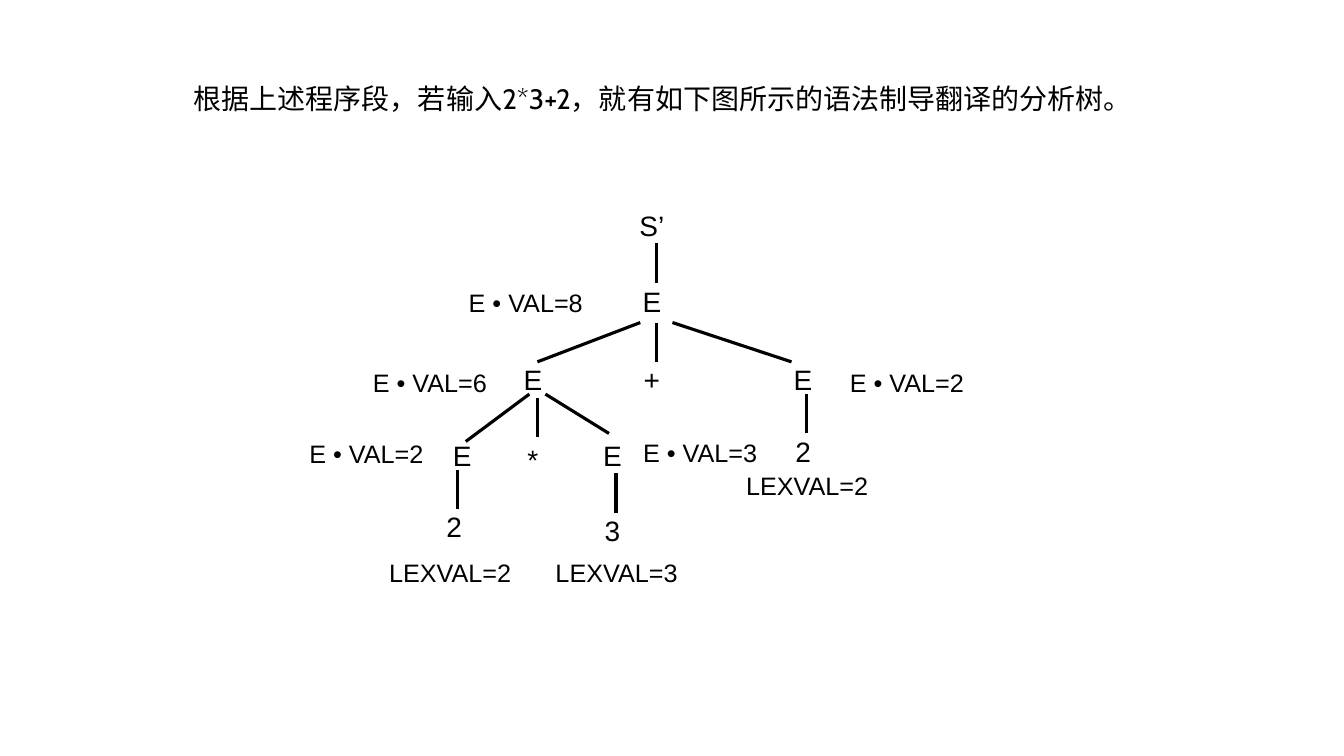
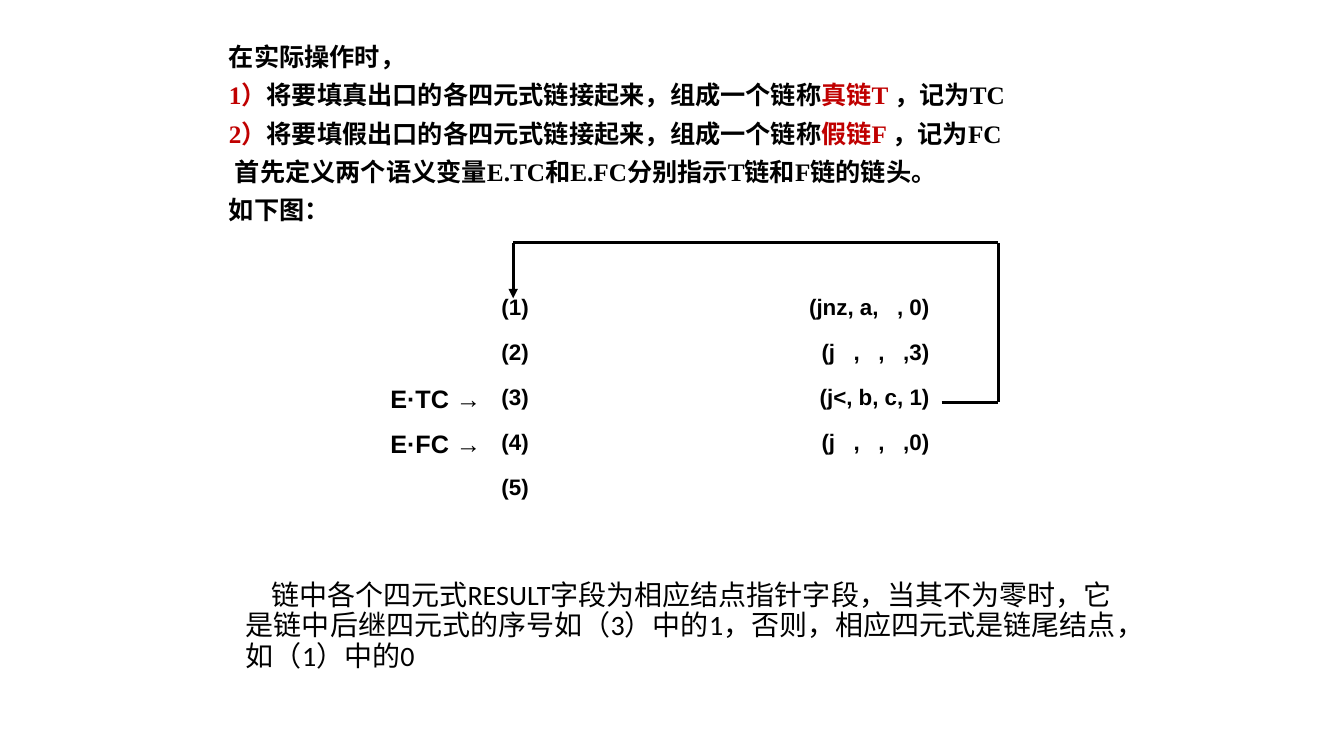
from dataclasses import dataclass

from lxml import etree
from pptx import Presentation
from pptx.dml.color import RGBColor
from pptx.enum.shapes import MSO_CONNECTOR
from pptx.enum.text import MSO_ANCHOR, MSO_AUTO_SIZE, PP_ALIGN
from pptx.oxml.ns import qn
from pptx.util import Inches, Pt

LEFT, CENTER, RIGHT = PP_ALIGN.LEFT, PP_ALIGN.CENTER, PP_ALIGN.RIGHT
STRAIGHT = MSO_CONNECTOR.STRAIGHT
TOP = MSO_ANCHOR.TOP
NO_AUTOFIT = MSO_AUTO_SIZE.NONE
TITLE_ONLY, TITLE_AND_CONTENT = 5, 1


@dataclass(frozen=True)
class Theme:
    ink: RGBColor = RGBColor(0, 0, 0)
    accent: RGBColor = RGBColor(0xC0, 0, 0)
    heading_font: str = "Cabin"
    list_font: str = "Times New Roman"
    diagram_font: str = "Arial"
    note_font: str = "Calibri"
    large: int = 20
    medium: int = 18
    small: int = 16
    line_width: float = 2.25


THEME = Theme()


def write(frame, *paragraphs, font=THEME.diagram_font, size=THEME.large,
          bold=False, align=LEFT, line_spacing=None, space_before=0,
          margin=0, indents=None):
    """Fill a text frame; each paragraph is a list of (text, color) runs."""
    frame.word_wrap = True
    frame.auto_size = NO_AUTOFIT
    frame.vertical_anchor = TOP
    for index, runs in enumerate(paragraphs):
        paragraph = frame.paragraphs[0] if index == 0 else frame.add_paragraph()
        if indents:
            properties = paragraph._p.get_or_add_pPr()
            properties.set("marL", str(Inches(margin)))
            properties.set("indent", str(Inches(indents[index])))
            etree.SubElement(properties, qn("a:buNone"))
        paragraph.alignment = align
        paragraph.line_spacing = line_spacing
        paragraph.space_before = Pt(space_before if index else 0)
        for text, color in runs:
            run = paragraph.add_run()
            run.text = text
            run.font.name = font
            run.font.size = Pt(size)
            run.font.bold = bold
            run.font.color.rgb = color


def draw_line(slide, start, end, arrow=False):
    connector = slide.shapes.add_connector(
        STRAIGHT, *(Inches(value) for value in (*start, *end)))
    connector.line.color.rgb = THEME.ink
    connector.line.width = Pt(THEME.line_width)
    if arrow:
        line = connector.line._get_or_add_ln()
        etree.SubElement(line, qn("a:tailEnd"), type="triangle")
    etree.SubElement(connector._element.spPr, qn("a:effectLst"))


presentation = Presentation()
presentation.slide_width = Inches(13.33)
presentation.slide_height = Inches(7.5)

# Slide 1: parse tree
slide = presentation.slides.add_slide(presentation.slide_layouts[TITLE_ONLY])
title = slide.shapes.title
title.left, title.top = Inches(1.82), Inches(0.76)
title.width, title.height = Inches(9.73), Inches(0.44)
write(title.text_frame,
      [("根据上述程序段，若输入2*3+2，就有如下图所示的语法制导翻译的分析树。", THEME.ink)],
      font=THEME.heading_font)

NODES = [
    ("S’", 6.19, 2.02),
    ("E", 6.19, 2.77),
    ("E", 5.01, 3.55), ("+", 6.19, 3.55), ("E", 7.69, 3.55),
    ("E", 4.31, 4.3), ("*", 5.01, 4.34), ("E", 5.8, 4.3), ("2", 7.69, 4.26),
    ("2", 4.23, 5.01), ("3", 5.8, 5.05),
]
VALUE_LABELS = [
    ("E • VAL=8", 4.23, 2.8),
    ("E • VAL=6", 3.28, 3.59), ("E • VAL=2", 8.01, 3.59),
    ("E • VAL=2", 2.65, 4.3), ("E • VAL=3", 5.96, 4.29),
]
LEXICAL_LABELS = [
    ("LEXVAL=2", 6.98, 4.62),
    ("LEXVAL=2", 3.44, 5.48), ("LEXVAL=3", 5.09, 5.48),
]
for items, width, height, size in (
        (NODES, 0.55, 0.43, THEME.large),
        (VALUE_LABELS, 1.97, 0.4, THEME.medium),
        (LEXICAL_LABELS, 2.05, 0.4, THEME.medium)):
    for text, left, top in items:
        box = slide.shapes.add_textbox(
            Inches(left), Inches(top), Inches(width), Inches(height))
        write(box.text_frame, [(text, THEME.ink)], size=size, align=CENTER)

BRANCHES = [
    ((6.51, 2.41), (6.51, 2.81)),
    ((6.35, 3.2), (5.33, 3.59)),
    ((6.51, 3.2), (6.51, 3.59)),
    ((6.67, 3.2), (7.85, 3.59)),
    ((5.25, 3.91), (4.62, 4.38)),
    ((5.33, 3.95), (5.33, 4.34)),
    ((5.41, 3.91), (6.04, 4.3)),
    ((8, 3.91), (8, 4.3)),
    ((4.54, 4.66), (4.54, 5.05)),
    ((6.11, 4.69), (6.11, 5.09)),
]
for start, end in BRANCHES:
    draw_line(slide, start, end)

# Slide 2: true and false chains
slide = presentation.slides.add_slide(presentation.slide_layouts[TITLE_AND_CONTENT])
unused_title = slide.shapes.title._element
unused_title.getparent().remove(unused_title)
body = slide.placeholders[1]
body.left, body.top = Inches(2.17), Inches(0.42)
body.width, body.height = Inches(9.25), Inches(1.92)
chains = [
    [(number, THEME.accent),
     (f"将要填{kind}出口的各四元式链接起来，组成一个链称", THEME.ink),
     (f"{kind}链{letter} ", THEME.accent),
     (f"，记为{letter}C", THEME.ink)]
    for number, kind, letter in (("1）", "真", "T"), ("2）", "假", "F"))
]
write(body.text_frame,
      [("在实际操作时，", THEME.ink)],
      *chains,
      [("首先定义两个语义变量E.TC和E.FC分别指示T链和F链的链头。", THEME.ink)],
      [("如下图：", THEME.ink)],
      font=THEME.list_font, size=THEME.medium, bold=True, line_spacing=0.8,
      space_before=10, margin=0.25, indents=[-0.25, -0.25, -0.25, -0.19, -0.25])

note = slide.shapes.add_textbox(Inches(2.34), Inches(5.72), Inches(8.98), Inches(1))
write(note.text_frame,
      [("链中各个四元式RESULT字段为相应结点指针字段，当其不为零时，它是链中后继四元式的"
        "序号如（3）中的1，否则，相应四元式是链尾结点，如（1）中的0", THEME.ink)],
      font=THEME.note_font, line_spacing=0.9, indents=[0.25])

QUADRUPLES = [
    ("", "(1)", "(jnz, a,   , 0)"),
    ("", "(2)", "(j   ,   ,   ,3)"),
    ("E·TC →", "(3)", "(j<, b, c, 1)"),
    ("E·FC →", "(4)", "(j   ,   ,   ,0)"),
    ("", "(5)", ""),
]
COLUMN_FORMATS = [(THEME.medium, RIGHT), (THEME.small, LEFT), (THEME.small, RIGHT)]
table = slide.shapes.add_table(
    len(QUADRUPLES), len(COLUMN_FORMATS),
    Inches(2.65), Inches(2.88), Inches(6.67), Inches(2.24)).table
table.first_row = False
table.horz_banding = False
for row_index, row in enumerate(QUADRUPLES):
    for column_index, (text, (size, align)) in enumerate(zip(row, COLUMN_FORMATS)):
        cell = table.cell(row_index, column_index)
        cell.fill.background()
        if text:
            write(cell.text_frame, [(text, THEME.ink)],
                  size=size, bold=True, align=align)

LINK_POINTS = [(9.34, 3.99), (9.9, 3.99), (9.9, 2.41), (5.09, 2.41), (5.09, 2.96)]
for start, end in zip(LINK_POINTS, LINK_POINTS[1:]):
    draw_line(slide, start, end, arrow=end == LINK_POINTS[-1])

presentation.save("out.pptx")
